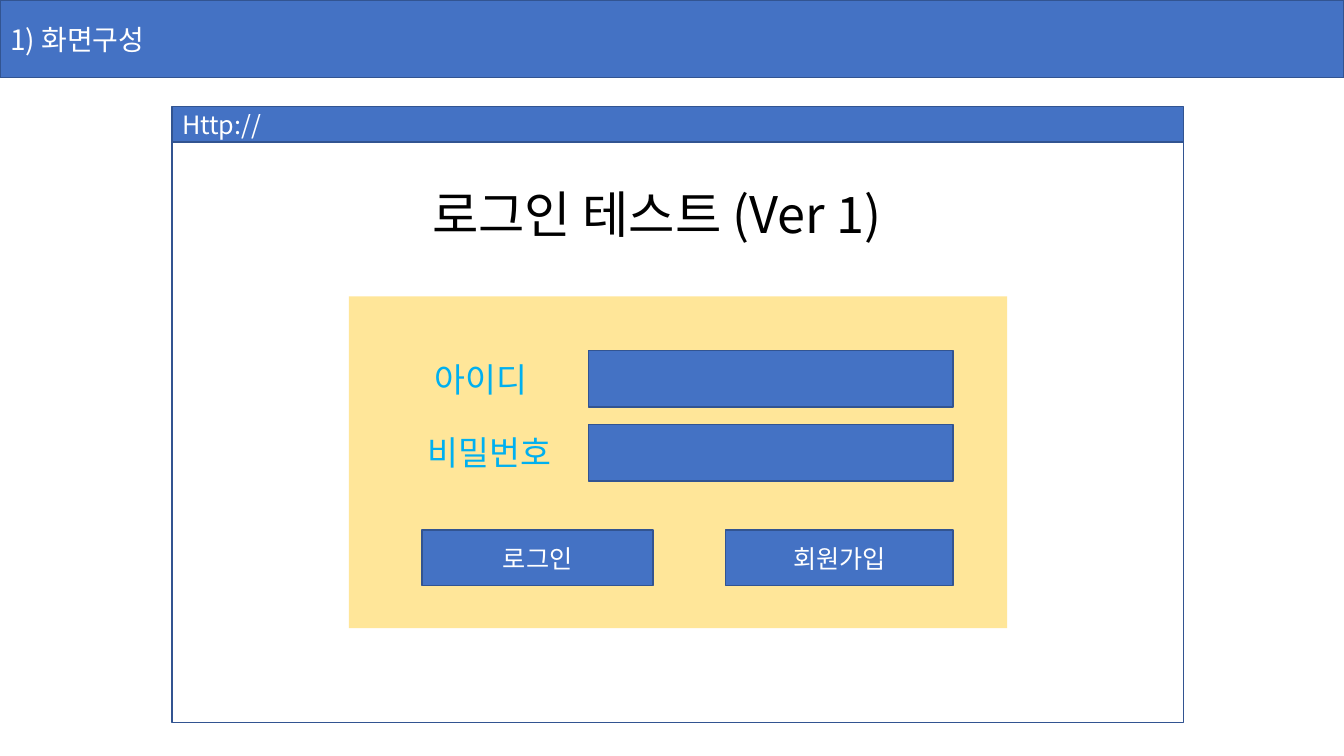
import pptx
import pptx.dml.color
import pptx.enum.shapes
import pptx.enum.text
import pptx.oxml
import pptx.oxml.ns
import pptx.util

Cm = pptx.util.Cm
ALIGN = pptx.enum.text.PP_ALIGN
ANCHOR = pptx.enum.text.MSO_ANCHOR
FONT = "Noto Sans CJK KR"
COLORS = {
    "blue": "4472C4",
    "outline": "325491",
    "panel": "FFE699",
    "label": "00B0F0",
    "white": "FFFFFF",
    "black": "000000",
}


def color(name):
    return pptx.dml.color.RGBColor.from_string(COLORS[name])


def apply(target, values):
    for name, value in values.items():
        setattr(target, name, value)


def write(shape, text, size, ink="white", align=ALIGN.LEFT, anchor=ANCHOR.MIDDLE):
    frame = shape.text_frame
    apply(frame, {"word_wrap": True, "vertical_anchor": anchor,
                  "auto_size": pptx.enum.text.MSO_AUTO_SIZE.NONE})
    para = frame.paragraphs[0]
    para.alignment = align
    span = para.add_run()
    span.text = text
    apply(span.font, {"name": FONT, "size": pptx.util.Pt(size)})
    span.font.color.rgb = color(ink)
    # Korean letters take the East Asian typeface.
    for properties in shape.element.iter(pptx.oxml.ns.qn("a:rPr")):
        latin = properties.find(pptx.oxml.ns.qn("a:latin"))
        latin.addnext(pptx.oxml.parse_xml(
            f'<a:ea {pptx.oxml.ns.nsdecls("a")} typeface="{FONT}"/>'))


def paint(shape, fill="blue", outline="outline"):
    """Fill and outline a shape; None leaves either one empty."""
    if fill:
        shape.fill.solid()
        shape.fill.fore_color.rgb = color(fill)
    else:
        shape.fill.background()
    if outline:
        shape.line.color.rgb = color(outline)
        shape.line.width = pptx.util.Pt(1)
    else:
        shape.line.fill.background()


def add_box(shapes, left, top, width, height, **style):
    box = shapes.add_shape(pptx.enum.shapes.MSO_SHAPE.RECTANGLE,
                           Cm(left), Cm(top), Cm(width), Cm(height))
    box.shadow.inherit = False
    paint(box, **style)
    return box


def add_label(page, left, top, width, height, text, size, **style):
    label = page.shapes.add_textbox(Cm(left), Cm(top), Cm(width), Cm(height))
    write(label, text, size, **style)


def title_bar(page, width, height):
    title = page.shapes.title
    apply(title, {"left": 0, "top": 0, "width": Cm(width), "height": Cm(height)})
    paint(title)
    write(title, "1) 화면구성", 20)


def browser_window(page, left, top, width, height):
    address_height = 0.89
    window = page.shapes.add_group_shape()
    add_box(window.shapes, left, top + address_height, width,
            height - address_height, fill=None)
    address = add_box(window.shapes, left, top, width, address_height)
    write(address, "Http://", 18)
    add_label(page, left + 6.3, top + 1.81, 12.93, 1.8, "로그인 테스트 (Ver 1)", 36,
              ink="black", anchor=ANCHOR.TOP)


def login_panel(page, left, top, width, height):
    add_box(page.shapes, left, top, width, height, fill="panel", outline=None)
    field_top, field_pitch = top + 1.37, 1.86
    for row, (text, indent) in enumerate([("아이디", 1.27), ("비밀번호", 1.47)]):
        row_top = field_top + row * field_pitch
        add_label(page, left + indent, row_top, 4.14, 1.4, text, 24,
                  ink="label", align=ALIGN.CENTER)
        add_box(page.shapes, left + 6.04, row_top, 9.19, 1.42)
    for text, indent, button_width in [("로그인", 1.85, 5.82), ("회원가입", 9.5, 5.73)]:
        button = add_box(page.shapes, left + indent, top + 5.89, button_width, 1.4)
        write(button, text, 18, align=ALIGN.CENTER)


def main():
    deck = pptx.Presentation()
    apply(deck, {"slide_width": Cm(33.87), "slide_height": Cm(19.05)})
    page = deck.slides.add_slide(deck.slide_layouts.get_by_name("Title Only"))
    browser_window(page, 4.34, 2.69, 25.48, 15.52)
    login_panel(page, 8.79, 7.47, 16.59, 8.36)
    title_bar(page, 33.87, 1.96)
    deck.save("out.pptx")


if __name__ == "__main__":
    main()
